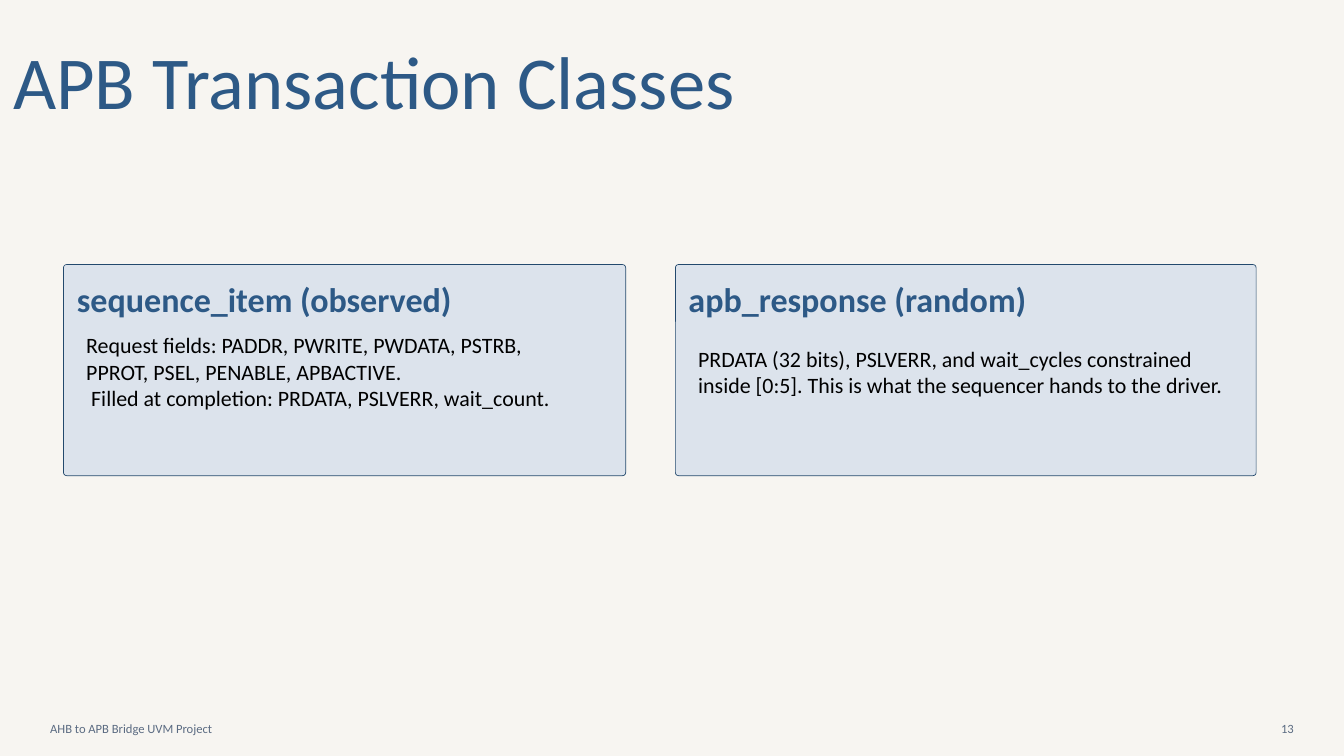
from collections import namedtuple
from dataclasses import dataclass

from pptx import Presentation
from pptx.dml.color import RGBColor
from pptx.enum.shapes import MSO_SHAPE as Shape
from pptx.enum.text import MSO_ANCHOR as Anchor, PP_ALIGN as Align
from pptx.util import Cm, Pt

Box = namedtuple("Box", "left top width height")
Style = namedtuple("Style", "size color bold leading")


@dataclass(frozen=True)
class Theme:
    font: str = "Calibri"
    paper: str = "F7F5F1"
    card_fill: str = "DCE3EC"
    card_line: str = "23496D"
    title: Style = Style(80, "2D5986", False, 112)
    heading: Style = Style(36.5, "2D5986", True, 43.8)
    body: Style = Style(23.5, "000000", False, 28.2)
    footer: Style = Style(13.5, "5B6B82", False, 16.2)


THEME = Theme()


def color(value):
    return RGBColor.from_string(value)


def add_text(page, box, lines, style, align=Align.LEFT, anchor=Anchor.TOP):
    frame = page.shapes.add_textbox(*map(Cm, box)).text_frame
    frame.word_wrap = True
    frame.vertical_anchor = anchor
    frame.margin_left = frame.margin_right = 0
    frame.margin_top = frame.margin_bottom = 0
    for index, line in enumerate(lines):
        para = frame.add_paragraph() if index else frame.paragraphs[0]
        para.alignment = align
        para.line_spacing = Pt(style.leading)
        span = para.add_run()
        span.text = line
        span.font.name = THEME.font
        span.font.size = Pt(style.size)
        span.font.bold = style.bold
        span.font.color.rgb = color(style.color)


def add_title(page, box, title):
    add_text(page, box, [title], THEME.title)


def add_card(page, box, heading, heading_width, lines):
    card = page.shapes.add_shape(Shape.ROUNDED_RECTANGLE, *map(Cm, box))
    card.adjustments[0] = 0.015
    card.shadow.inherit = False
    card.fill.solid()
    card.fill.fore_color.rgb = color(THEME.card_fill)
    card.line.color.rgb = color(THEME.card_line)
    card.line.width = Pt(0.75)

    heading_box = Box(box.left + 0.49, box.top + 0.51, heading_width, 1.73)
    add_text(page, heading_box, [heading], THEME.heading, Align.CENTER)
    body_box = Box(box.left + 0.86, box.top + 2.54, box.width - 1.76, 3)
    add_text(page, body_box, lines, THEME.body, anchor=Anchor.MIDDLE)


def add_footer(page, box, project, number):
    number_width = 1.9
    number_left = box.left + box.width - number_width
    add_text(page, box._replace(width=30.48), [project], THEME.footer,
             anchor=Anchor.MIDDLE)
    add_text(page, box._replace(left=number_left, width=number_width), [number],
             THEME.footer, Align.RIGHT, Anchor.MIDDLE)


def main():
    deck = Presentation()
    deck.slide_width = Cm(50.8)
    deck.slide_height = Cm(50.8 * 9 / 16)
    page = deck.slides.add_slide(deck.slide_layouts[6])
    page.background.fill.solid()
    page.background.fill.fore_color.rgb = color(THEME.paper)

    add_footer(page, Box(1.9, 26.92, 47, 1.2), "AHB to APB Bridge UVM Project", "13")
    add_title(page, Box(0.5, 0.74, 33.1, 3.81), "APB Transaction Classes")
    add_card(page, Box(2.4, 10, 21.25, 7.98), "sequence_item (observed)", 14.2, [
        "Request fields: PADDR, PWRITE, PWDATA, PSTRB,",
        "PPROT, PSEL, PENABLE, APBACTIVE.",
        " Filled at completion: PRDATA, PSLVERR, wait_count.",
    ])
    add_card(page, Box(25.53, 10, 21.95, 7.98), "apb_response (random)", 12.78, [
        "PRDATA (32 bits), PSLVERR, and wait_cycles constrained inside [0:5]. "
        "This is what the sequencer hands to the driver.",
    ])
    deck.save("out.pptx")


if __name__ == "__main__":
    main()
